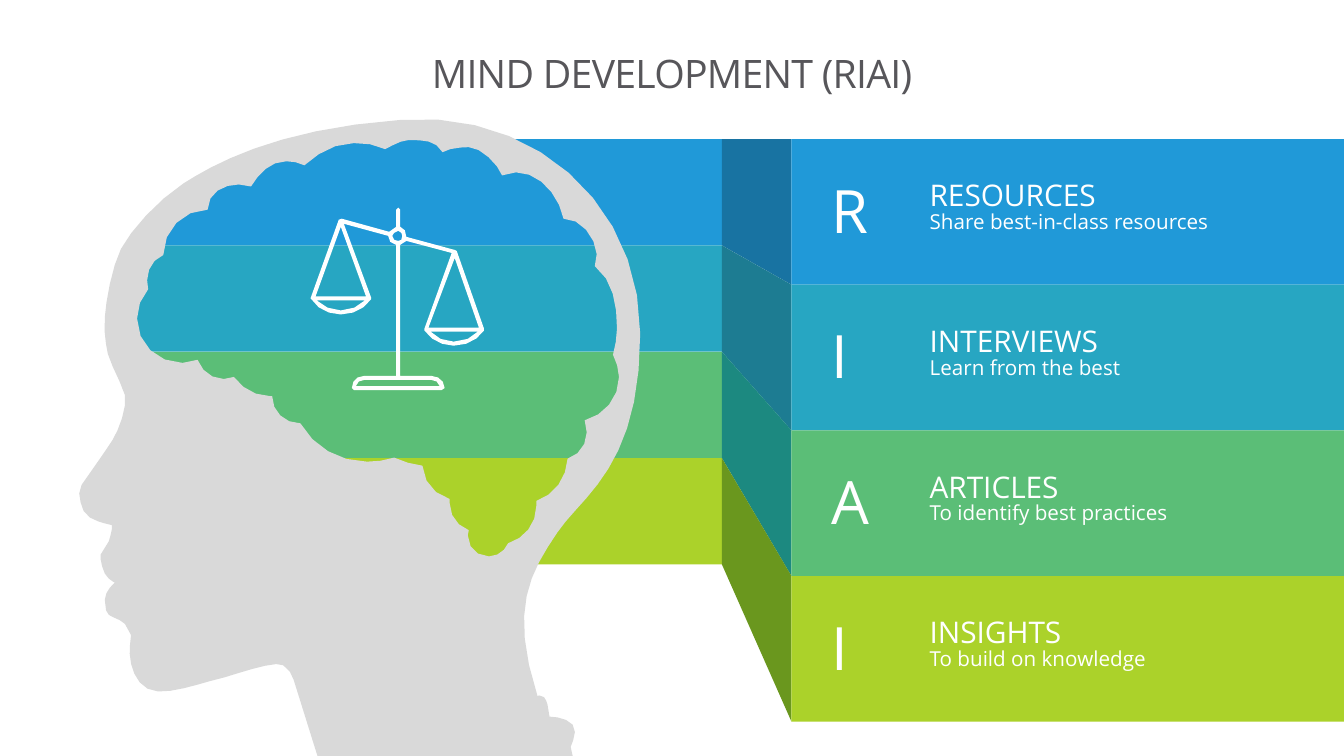
from math import ceil, hypot, sqrt

from pptx import Presentation
from pptx.dml.color import RGBColor
from pptx.enum.shapes import MSO_SHAPE
from pptx.enum.text import MSO_ANCHOR, MSO_AUTO_SIZE, PP_ALIGN
from pptx.util import Inches, Pt

RECTANGLE = MSO_SHAPE.RECTANGLE
MIDDLE = MSO_ANCHOR.MIDDLE
NO_FIT, GROW = MSO_AUTO_SIZE.NONE, MSO_AUTO_SIZE.SHAPE_TO_FIT_TEXT
LEFT, CENTER = PP_ALIGN.LEFT, PP_ALIGN.CENTER

FONT = "Open Sans"
COLORS = {"title": "57565A", "head": "D9D9D9", "white": "FFFFFF"}
THEMES = [
    {"letter": "R", "name": "RESOURCES", "detail": "Share best-in-class resources",
     "fill": "2099D8", "fold": "1873A2"},
    {"letter": "I", "name": "INTERVIEWS", "detail": "Learn from the best",
     "fill": "27A6C2", "fold": "1D7C92"},
    {"letter": "A", "name": "ARTICLES", "detail": "To identify best practices",
     "fill": "5BBE77", "fold": "1C8980"},
    {"letter": "I", "name": "INSIGHTS", "detail": "To build on knowledge",
     "fill": "ABD22A", "fold": "6A971E"},
]
TOP = 1.38
BAND_LEFT, BAND_RIGHT, BAND_HEIGHT = 1.11, 7.16, 1.055
CARD_LEFT, CARD_HEIGHT = 7.85, 1.445
SLIDE_WIDTH, SLIDE_HEIGHT = 13.33, 7.5
CURVE_TOLERANCE = 0.01

# Outlines in inches: a pair is a straight line, six numbers are a cubic curve.
NECK = [
    (5.45, 7.11), (5.43, 6.99), (5.42, 6.96, 5.41, 6.9, 5.35, 6.9), (5.25, 6.92), (5.13, 6.93),
    (5.07, 6.93, 5.06, 6.97, 4.96, 6.98), (4.87, 7, 4.74, 7.06, 4.69, 7.11), (4.48, 7.25),
    (4.35, 7.32), (4.12, 7.5), (5.68, 7.5), (5.66, 7.41),
    (5.68, 7.36, 5.73, 7.25, 5.68, 7.19), (5.63, 7.13, 5.52, 7.11, 5.45, 7.11),
]
FACE_BACKGROUND = [
    (0, 1.32), (3.21, 1.33), (2.19, 1.62, 2.27, 1.78, 1.66, 2.07), (1.23, 2.87), (1.34, 3.64),
    (1.33, 3.91, 1.59, 4.18, 1.58, 4.46), (1.53, 5.83), (2.8, 5.92), (3.35, 7.5), (0, 7.5),
]
HEAD = [
    (6.35, 3.31), (6.35, 1.99, 5.25, 1.08, 3.97, 1.19), (2.7, 1.28, 2.09, 1.65, 1.82, 1.82),
    (1.56, 1.99, 1.3, 2.28, 1.2, 2.47), (1.11, 2.65, 1.05, 2.99, 1.04, 3.15),
    (1.03, 3.31, 1.05, 3.41, 1.07, 3.51), (1.1, 3.62, 1.2, 3.79, 1.24, 3.92),
    (1.26, 4.05, 1.18, 4.26, 1.12, 4.36), (1.07, 4.44, 0.86, 4.74, 0.81, 4.81),
    (0.76, 4.89, 0.8, 4.99, 0.83, 5.07), (0.87, 5.15, 1, 5.18, 1.03, 5.19),
    (1.11, 5.21), (1.12, 5.22, 1.1, 5.31, 1.08, 5.37), (1, 5.5),
    (0.99, 5.53, 1.01, 5.63, 1.04, 5.69), (1.07, 5.75, 1.14, 5.78, 1.14, 5.78),
    (1.14, 5.78, 1.04, 5.86, 1.04, 5.95), (1.04, 6.04, 1.06, 6.09, 1.08, 6.1),
    (1.1, 6.12, 1.21, 6.15, 1.24, 6.19), (1.3, 6.3), (1.29, 6.4),
    (1.27, 6.55, 1.33, 6.85, 1.57, 6.86), (1.75, 6.87, 2.05, 6.76, 2.15, 6.74),
    (2.26, 6.72, 2.73, 6.54, 2.81, 6.6), (2.9, 6.66, 2.91, 6.74, 2.94, 6.83),
    (3.14, 7.47), (3.15, 7.5), (4.74, 7.5), (5.2, 7.14), (5.33, 6.9),
    (5.05, 6.03, 5.26, 5.68, 5.53, 5.28), (5.78, 4.91, 6.35, 4.63, 6.35, 3.31),
]
BRAIN = [
    (5.32, 5.02), (5.32, 5.2, 5.2, 5.34, 5.04, 5.39), (5.01, 5.46, 4.94, 5.52, 4.85, 5.52),
    (4.73, 5.52, 4.64, 5.43, 4.64, 5.31), (4.65, 5.26),
    (4.54, 5.22, 4.46, 5.12, 4.46, 4.99), (4.46, 4.95), (4.31, 4.91, 4.2, 4.78, 4.19, 4.62),
    (4.09, 4.61, 4, 4.58, 3.91, 4.54), (3.82, 4.57, 3.73, 4.58, 3.64, 4.58),
    (3.36, 4.58, 3.11, 4.43, 2.98, 4.2), (2.82, 4.2, 2.7, 4.08, 2.7, 3.93), (2.68, 3.93),
    (2.53, 3.93, 2.4, 3.85, 2.32, 3.74), (2.22, 3.76),
    (2.1, 3.76, 2, 3.68, 1.96, 3.57), (1.91, 3.59, 1.86, 3.6, 1.81, 3.6),
    (1.56, 3.6, 1.36, 3.41, 1.36, 3.16), (1.36, 3.05, 1.4, 2.95, 1.47, 2.87),
    (1.46, 2.78), (1.46, 2.67, 1.52, 2.57, 1.62, 2.53),
    (1.62, 2.28, 1.82, 2.08, 2.06, 2.08), (2.06, 1.91, 2.22, 1.83, 2.37, 1.83),
    (2.49, 1.85), (2.57, 1.72, 2.68, 1.6, 2.84, 1.6),
    (2.9, 1.6, 2.96, 1.61, 3.02, 1.64), (3.15, 1.52, 3.32, 1.42, 3.51, 1.42),
    (3.63, 1.42, 3.72, 1.43, 3.82, 1.48), (3.88, 1.45, 3.98, 1.39, 4.05, 1.39),
    (4.21, 1.39, 4.32, 1.39, 4.39, 1.51), (4.44, 1.47, 4.59, 1.46, 4.65, 1.46),
    (4.77, 1.46, 4.94, 1.63, 4.98, 1.74), (5.26, 1.62, 5.53, 1.88, 5.59, 2.17),
    (5.8, 2.16, 5.98, 2.46, 5.9, 2.64), (6.08, 2.78, 6.12, 3.02, 6.12, 3.26),
    (6.12, 3.35, 6.1, 3.44, 6.08, 3.52), (6.11, 3.58, 6.14, 3.66, 6.14, 3.74),
    (6.14, 3.95, 5.99, 4.12, 5.8, 4.17), (5.82, 4.29),
    (5.82, 4.41, 5.74, 4.52, 5.63, 4.55), (5.62, 4.74, 5.5, 4.91, 5.32, 4.97),
]
SCALES = [
    (4.8, 3.28), (4.8, 3.26), (4.53, 2.49), (4.51, 2.48), (4.03, 2.35),
    (4.03, 2.3, 4.01, 2.26, 3.97, 2.25), (3.97, 2.08), (3.95, 2.06), (3.93, 2.08),
    (3.93, 2.25), (3.86, 2.3), (3.39, 2.17), (3.36, 2.18), (3.08, 2.96), (3.09, 2.97),
    (3.14, 3.06, 3.26, 3.12, 3.38, 3.12), (3.51, 3.12, 3.62, 3.06, 3.68, 2.97),
    (3.68, 2.95), (3.41, 2.22), (3.85, 2.34), (3.85, 2.39, 3.88, 2.42, 3.93, 2.43),
    (3.93, 3.73), (3.61, 3.73), (3.54, 3.73, 3.49, 3.78, 3.49, 3.85), (3.51, 3.87),
    (4.38, 3.87), (4.41, 3.85), (4.41, 3.78, 4.35, 3.73, 4.28, 3.73), (3.97, 3.73),
    (3.97, 2.43), (4.03, 2.39), (4.48, 2.51), (4.21, 3.26), (4.21, 3.28),
    (4.27, 3.37, 4.38, 3.43, 4.5, 3.43), (4.63, 3.43, 4.74, 3.37, 4.8, 3.28),
]
SCALES_HOLES = [
    [(3.38, 2.25), (3.63, 2.94), (3.13, 2.94)],
    [(3.38, 3.08), (3.29, 3.08, 3.2, 3.04, 3.14, 2.98), (3.62, 2.98),
     (3.56, 3.04, 3.48, 3.08, 3.38, 3.08)],
    [(4.36, 3.83), (3.53, 3.83), (3.54, 3.79, 3.57, 3.77, 3.61, 3.77), (4.28, 3.77),
     (4.32, 3.77, 4.35, 3.79, 4.36, 3.83)],
    [(3.95, 2.39), (3.91, 2.38), (3.89, 2.34), (3.91, 2.31), (3.95, 2.29), (3.98, 2.31),
     (3.99, 2.34), (3.98, 2.38)],
    [(4.75, 3.25), (4.25, 3.25), (4.51, 2.56)],
    [(4.5, 3.39), (4.41, 3.39, 4.32, 3.35, 4.27, 3.29), (4.74, 3.29),
     (4.69, 3.35, 4.6, 3.39, 4.5, 3.39)],
]

presentation = Presentation()
presentation.slide_width = Inches(SLIDE_WIDTH)
presentation.slide_height = Inches(SLIDE_HEIGHT)
slide = presentation.slides.add_slide(presentation.slide_layouts[5])


def add_filled(color, contours=None, box=None):
    """Add a plain shape: a rectangle for a box, or contours with later ones as holes."""
    if box:
        shape = slide.shapes.add_shape(RECTANGLE, *map(Inches, box))
    else:
        builder = slide.shapes.build_freeform(*map(Inches, contours[0][0]), scale=1.0)
        for number, (start, *segments) in enumerate(contours):
            if number:
                builder.move_to(*map(Inches, start))
            points = [start]
            for segment in segments:
                if len(segment) == 2:
                    points.append(segment)
                    continue
                x, y = (*points[-1], *segment)[::2], (*points[-1], *segment)[1::2]
                bend = max(hypot(x[i] - 2 * x[i + 1] + x[i + 2], y[i] - 2 * y[i + 1] + y[i + 2])
                           for i in (0, 1))
                steps = max(1, ceil(sqrt(0.75 * bend / CURVE_TOLERANCE)))
                for step in range(1, steps + 1):
                    t = step / steps
                    weights = ((1 - t) ** 3, 3 * t * (1 - t) ** 2, 3 * t * t * (1 - t), t ** 3)
                    points.append(tuple(sum(w * value for w, value in zip(weights, axis))
                                        for axis in (x, y)))
            builder.add_line_segments([tuple(map(Inches, point)) for point in points[1:]])
        shape = builder.convert_to_shape()
    shape.shadow.inherit = False
    shape.fill.solid()
    shape.fill.fore_color.rgb = RGBColor.from_string(color)
    shape.line.fill.background()
    return shape


def write_text(shape, lines, color, margins, frame_format, paragraph_format):
    """Fill a shape with (text, size) lines; margins are left, top, right, bottom."""
    frame = shape.text_frame
    sides = ("margin_left", "margin_top", "margin_right", "margin_bottom")
    frame_format = {"word_wrap": True, **dict(zip(sides, map(Inches, margins))), **frame_format}
    for name, value in frame_format.items():
        setattr(frame, name, value)
    for number, (text, size) in enumerate(lines):
        paragraph = frame.add_paragraph() if number else frame.paragraphs[0]
        for name, value in paragraph_format.items():
            setattr(paragraph, name, value)
        run = paragraph.add_run()
        run.text = text
        for name, value in {"name": FONT, "size": Pt(size)}.items():
            setattr(run.font, name, value)
        run.font.color.rgb = RGBColor.from_string(color)


title = slide.shapes.title
title.left, title.top, title.width, title.height = map(Inches, (1, 0.31, 11.33, 0.89))
write_text(title, [("MIND DEVELOPMENT (RIAI)", 28)], COLORS["title"], (0, 0, 0, 0),
           {"vertical_anchor": MIDDLE, "auto_size": NO_FIT},
           {"alignment": CENTER, "line_spacing": 0.86})
title.text_frame.paragraphs[0].runs[0]._r.get_or_add_rPr().set("spc", "-50")

for index, theme in enumerate(THEMES):
    band_top = TOP + index * BAND_HEIGHT
    card_top = TOP + index * CARD_HEIGHT
    add_filled(theme["fill"], box=(BAND_LEFT, band_top, BAND_RIGHT - BAND_LEFT, BAND_HEIGHT))
    add_filled(theme["fold"], [[
        (BAND_RIGHT, band_top), (CARD_LEFT, card_top),
        (CARD_LEFT, card_top + CARD_HEIGHT), (BAND_RIGHT, band_top + BAND_HEIGHT)]])
    card = add_filled(theme["fill"],
                      box=(CARD_LEFT, card_top, SLIDE_WIDTH - CARD_LEFT, CARD_HEIGHT))
    write_text(card, [(theme["letter"], 42.7)], COLORS["white"], (0.4, 0, 0.1, 0.05),
               {"vertical_anchor": MIDDLE}, {"alignment": LEFT})
    label = slide.shapes.add_textbox(*map(Inches, (9.22, card_top + 0.38, 3.78, 0.62)))
    write_text(label, [(theme["name"], 21.3), (theme["detail"], 14.7)], COLORS["white"],
               (0, 0.05, 0, 0.05), {"auto_size": GROW}, {"line_spacing": 0.85})

add_filled(COLORS["head"], [NECK])
add_filled(COLORS["white"], [FACE_BACKGROUND])
add_filled(COLORS["head"], [HEAD, BRAIN])
add_filled(COLORS["white"], [SCALES, *SCALES_HOLES])

presentation.save("out.pptx")
